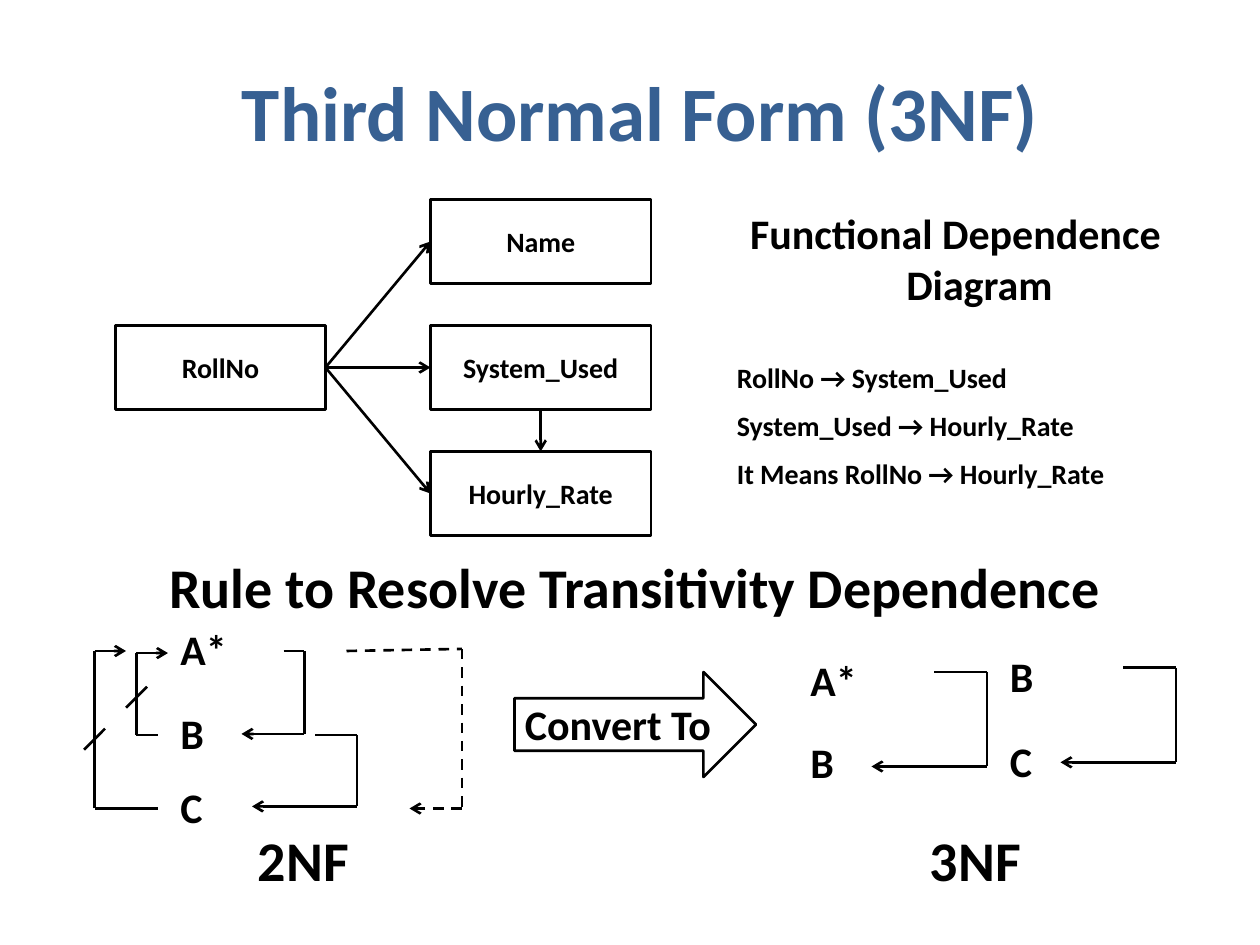
from itertools import pairwise

from pptx import Presentation
from pptx.dml.color import RGBColor
from pptx.enum.dml import MSO_LINE_DASH_STYLE as Dash
from pptx.enum.shapes import MSO_CONNECTOR as Connector, MSO_SHAPE as Shape
from pptx.enum.text import MSO_ANCHOR as Anchor, PP_ALIGN as Align
from pptx.oxml.ns import qn
from pptx.util import Inches, Pt

COLUMNS, ROWS = 120, 90


def color(value):
    return RGBColor.from_string(value)


class Diagram:
    """Places styled elements on a grid of 120 columns by 90 rows."""

    font = {"name": "Calibri", "bold": True}
    ink = "000000"
    line_width = Pt(1.5)
    hanging = Inches(0.38)

    def __init__(self, presentation):
        self.slide = presentation.slides.add_slide(presentation.slide_layouts[6])
        self.column = presentation.slide_width / COLUMNS
        self.row = presentation.slide_height / ROWS

    def place(self, *lengths):
        units = (self.column, self.row) * 2
        return [round(length * unit) for length, unit in zip(lengths, units)]

    def set_text(self, shape, text, size, align, anchor, ink=None, hanging=True):
        frame = shape.text_frame
        for name, value in {"word_wrap": True, "vertical_anchor": anchor}.items():
            setattr(frame, name, value)
        for index, words in enumerate(text.split("\n")):
            paragraph = frame.add_paragraph() if index else frame.paragraphs[0]
            paragraph.alignment = align
            if index:
                paragraph.space_before = Pt(size / 2)
            if hanging:
                properties = paragraph._p.get_or_add_pPr()
                properties.set("marL", str(self.hanging))
                properties.set("indent", str(-self.hanging))
            run = paragraph.add_run()
            run.text = words
            for name, value in {**self.font, "size": Pt(size)}.items():
                setattr(run.font, name, value)
            run.font.color.rgb = color(ink or self.ink)

    def text(self, box, text, size, align=Align.CENTER, anchor=Anchor.TOP, **style):
        shape = self.slide.shapes.add_textbox(*self.place(*box))
        self.set_text(shape, text, size, align, anchor, **style)

    def outline(self, kind, box, text=None):
        shape = self.slide.shapes.add_shape(kind, *self.place(*box))
        shape.shadow.inherit = False
        shape.fill.background()
        shape.line.color.rgb = color(self.ink)
        shape.line.width = self.line_width
        if text:
            self.set_text(shape, text, 16, Align.CENTER, Anchor.MIDDLE)

    def route(self, *points, arrow=True, dash=None):
        """Join the points with straight lines; the last may carry an arrowhead."""
        for start, end in pairwise(points):
            line = self.slide.shapes.add_connector(
                Connector.STRAIGHT, *self.place(*start, *end))
            line.line.color.rgb = color(self.ink)
            line.line.width = self.line_width
            if dash:
                line.line.dash_style = dash
            properties = line._element.spPr
            if arrow and end == points[-1]:
                stroke = properties.get_or_add_ln()
                stroke.append(stroke.makeelement(qn("a:tailEnd"), {"type": "arrow"}))
            properties.append(properties.makeelement(qn("a:effectLst"), {}))


def main():
    presentation = Presentation()
    presentation.slide_width, presentation.slide_height = Inches(10), Inches(7.5)
    diagram = Diagram(presentation)

    # Headings
    diagram.text((7, 3, 108, 15), "Third Normal Form (3NF)", 44,
                 anchor=Anchor.MIDDLE, ink="376092", hanging=False)
    diagram.text((69, 17, 44, 15.2), "Functional Dependence Diagram", 24,
                 anchor=Anchor.MIDDLE)
    diagram.text((12, 52, 97, 8), "Rule to Resolve Transitivity Dependence", 32)

    # Functional dependence: key on the left, attributes stacked on the right
    diagram.outline(Shape.RECTANGLE, (11, 31, 20, 8), "RollNo")
    for index, attribute in enumerate(("Name", "System_Used", "Hourly_Rate")):
        top = 19 + 12 * index
        diagram.outline(Shape.RECTANGLE, (41, top, 21, 8), attribute)
        diagram.route((31, 35), (41, top + 4))
    diagram.route((51.5, 39), (51.5, 43))
    diagram.text(
        (69, 33, 42, 15),
        "RollNo → System_Used\nSystem_Used → Hourly_Rate\n"
        "It Means RollNo → Hourly_Rate ",
        16, Align.JUSTIFY, Anchor.MIDDLE)

    # Attribute letters and captions of both forms
    letters = [("A*", 16, 58.8), ("B", 16, 66.8), ("C", 16, 73.8),
               ("A*", 76, 61.7), ("B", 76, 69.6),
               ("B", 95, 61.4), ("C", 95, 69.5)]
    for letter, left, top in letters:
        diagram.text((left, top, 8, 6.2), letter, 24, Align.JUSTIFY)
    for caption, left in (("2NF ", 14), ("3NF ", 78)):
        diagram.text((left, 78, 31, 8), caption, 32)

    # 2NF: dependences to the right, struck-out reverse ones to the left
    diagram.route((27, 62), (29, 62), (29, 69.9), (23, 69.9))
    diagram.route((30, 70), (34, 70), (34, 76.8), (24, 76.8))
    diagram.route((33, 62), (44, 61.8), (44, 77), (39, 77), dash=Dash.DASH)
    diagram.route((15, 70), (13, 70), (13, 62.2), (16, 62.2))
    diagram.route((15, 77), (9, 77), (9, 62), (12, 62))
    for left, top in ((8, 69.4), (12, 65.4)):
        diagram.route((left + 2, top), (left, top + 2), arrow=False)

    # Conversion arrow
    diagram.outline(Shape.RIGHT_ARROW, (49, 64, 23, 10))
    diagram.text((48.8, 65.9, 22, 6.2), "Convert To", 24, Align.JUSTIFY)

    # 3NF: one bracket per relation
    for left, top in ((83, 64), (101, 63.6)):
        right, bottom = left + 11, top + 9
        diagram.route((left + 6, top), (right, top), (right, bottom), (left, bottom))

    presentation.save("out.pptx")


if __name__ == "__main__":
    main()
